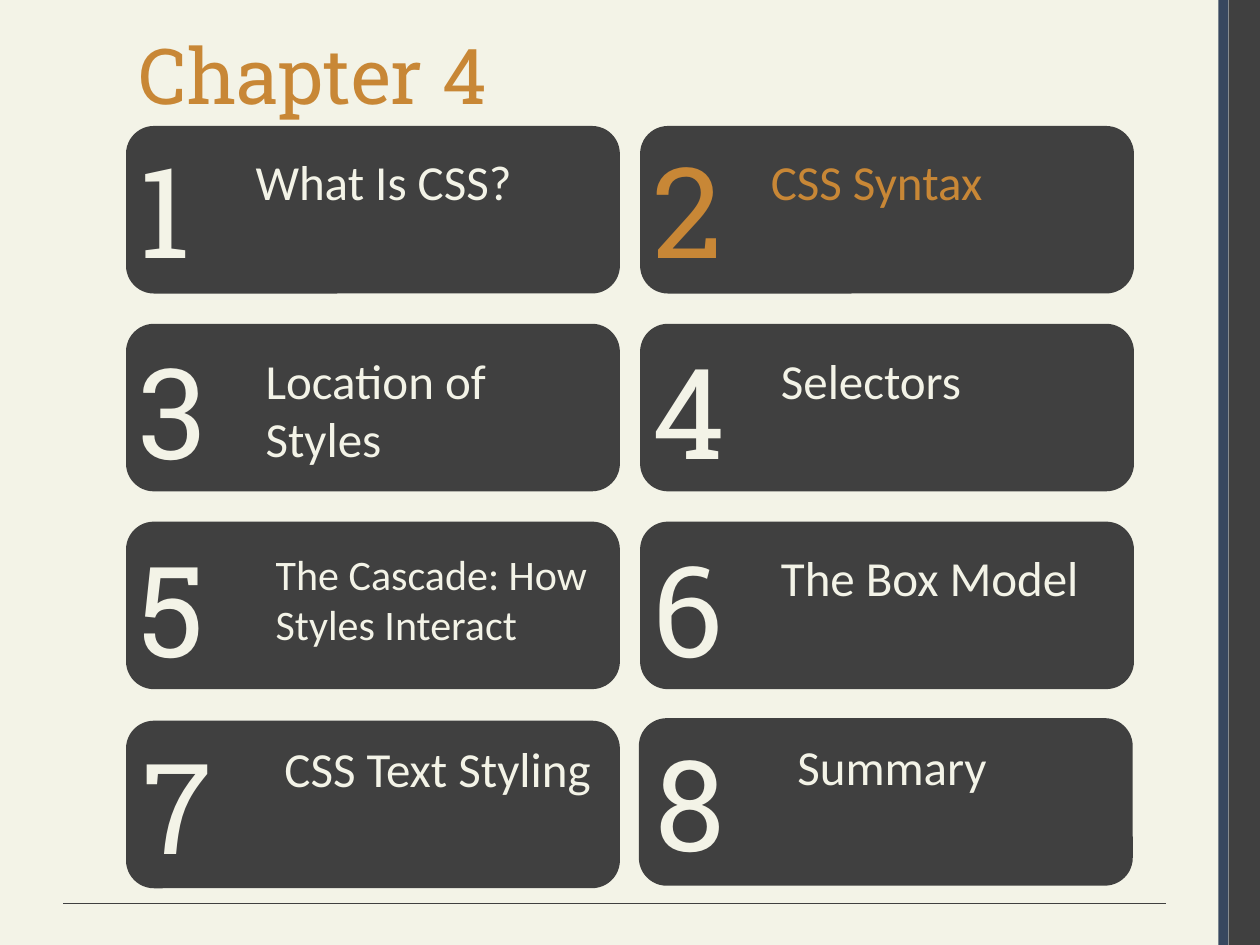
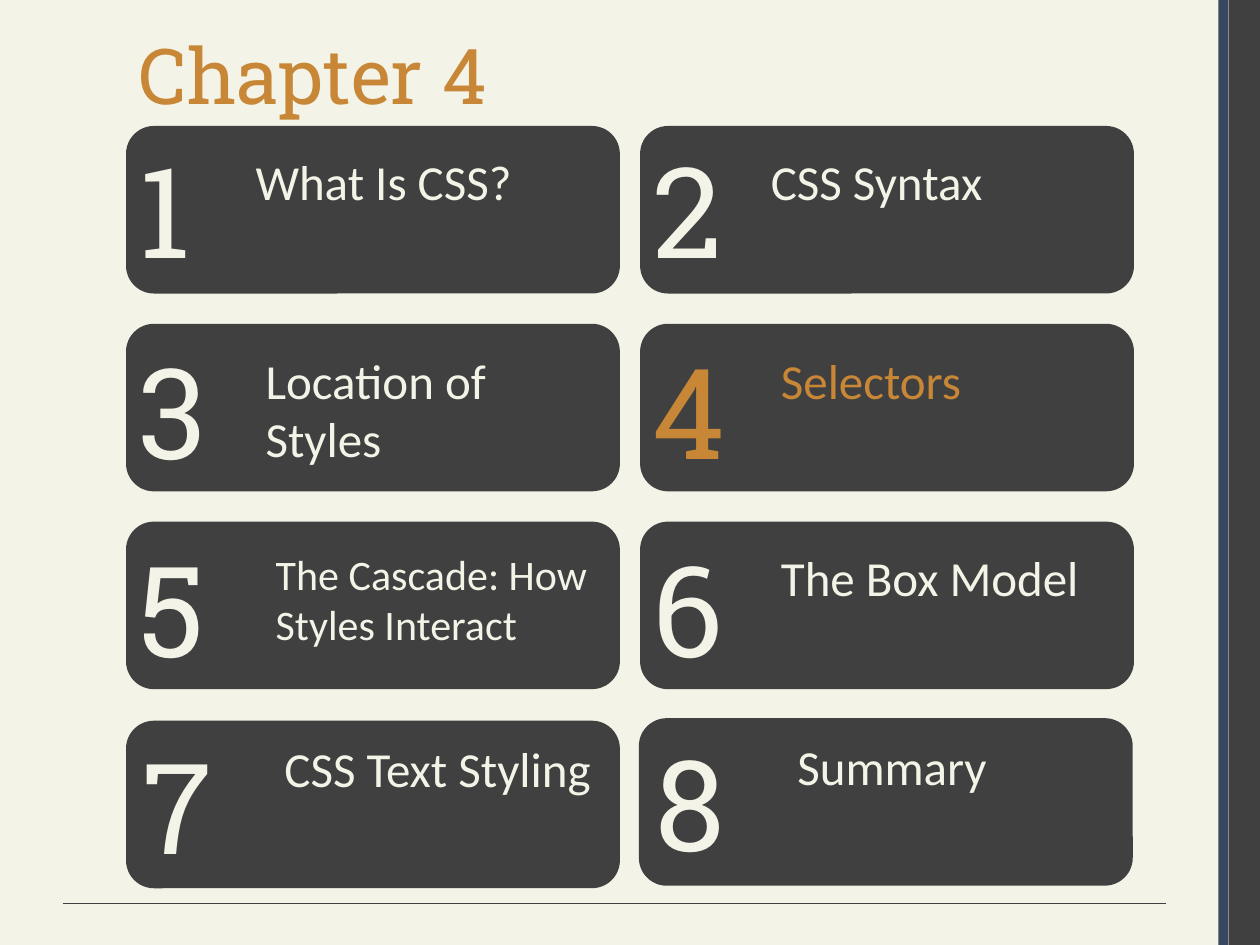
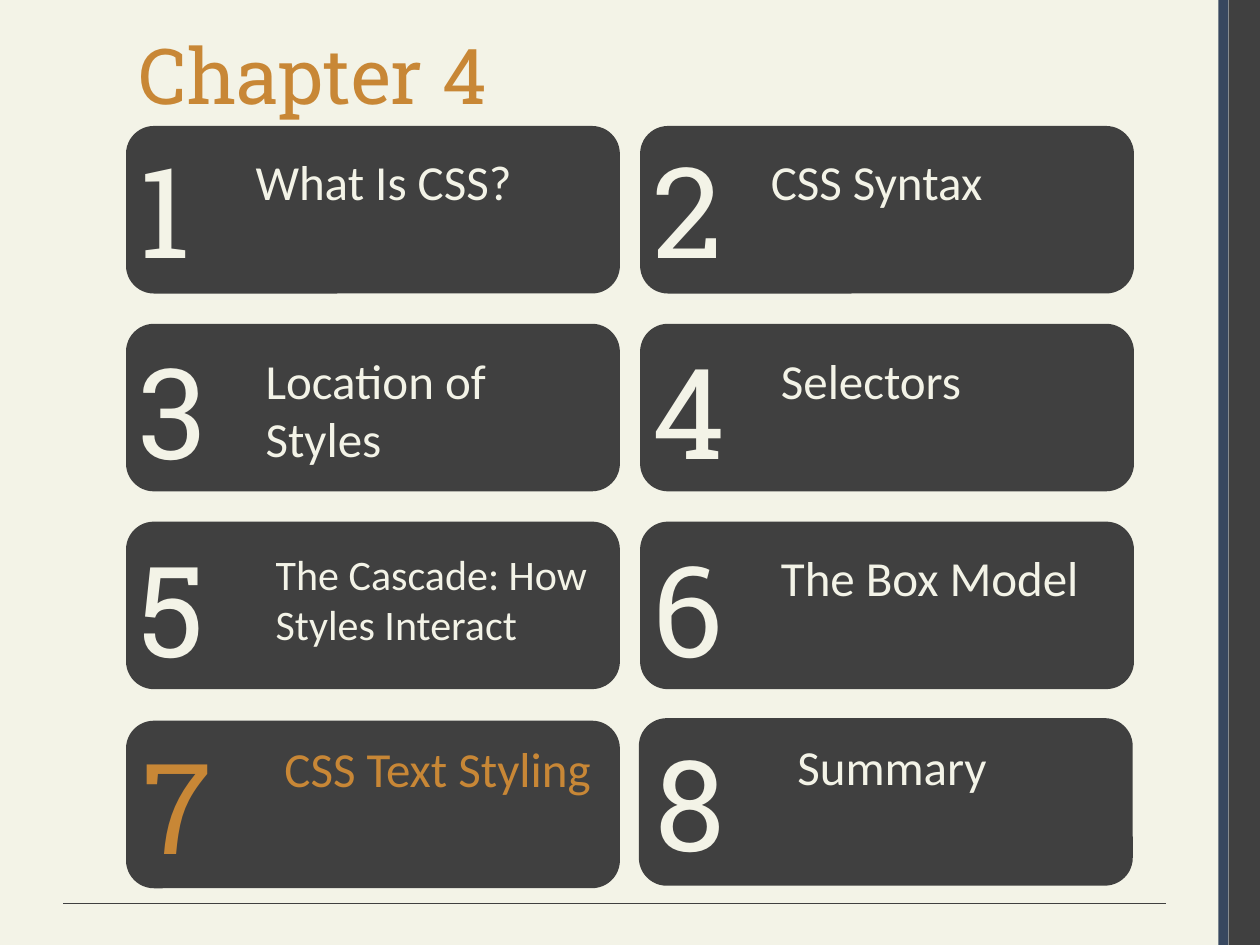
from lxml.etree import SubElement
from pptx import Presentation
from pptx.dml.color import RGBColor
from pptx.enum.shapes import MSO_CONNECTOR, MSO_SHAPE
from pptx.enum.text import MSO_ANCHOR, MSO_AUTO_SIZE, PP_ALIGN
from pptx.oxml.ns import qn
from pptx.util import Inches, Pt

COLORS = {name: RGBColor.from_string(value) for name, value in {
    "cream": "F3F3E7", "charcoal": "404040", "navy": "37475F", "amber": "C88736",
}.items()}
HEADING_FONT, BODY_FONT = "Roboto Slab", "Calibri"

CARD_WIDTH, CARD_HEIGHT = 3.92, 1.33
LEFT, RIGHT = 1, 5.08
# Card left and top, number offset, label offset, label height, label size, label
TOPICS = [
    (LEFT, 1, (0, 0), (0.93, 0.15), 0.57, 28, "What Is CSS?"),
    (RIGHT, 1, (0, 0), (0.94, 0.15), 0.57, 28, "CSS Syntax"),
    (LEFT, 2.57, (0, 0.03), (1.01, 0.16), 1.04, 28, "Location of Styles"),
    (RIGHT, 2.57, (0, 0.03), (1.02, 0.16), 0.57, 28, "Selectors"),
    (LEFT, 4.14, (0, 0.03), (1.09, 0.16), 0.91, 24, "The Cascade: How Styles Interact"),
    (RIGHT, 4.14, (0, 0.03), (1.02, 0.16), 0.57, 28, "The Box Model"),
    (LEFT, 5.72, (0.03, 0.01), (1.16, 0.09), 0.57, 28, "CSS Text Styling"),
    (5.07, 5.7, (0.03, 0.01), (1.16, 0.1), 0.57, 28, "Summary"),
]
CURRENT_TOPICS = [2, 4, 7]  # one slide for each


def add_block(page, kind, left, top, width, height, color):
    block = page.shapes.add_shape(
        kind, Inches(left), Inches(top), Inches(width), Inches(height))
    block.shadow.inherit = False
    block.fill.solid()
    block.fill.fore_color.rgb = COLORS[color]
    block.line.fill.background()
    return block


def add_text(page, text, left, top, width, height, font_name, size, color):
    box = page.shapes.add_textbox(
        Inches(left), Inches(top), Inches(width), Inches(height))
    box.text_frame.word_wrap = True
    box.text_frame.auto_size = MSO_AUTO_SIZE.SHAPE_TO_FIT_TEXT
    paragraph = box.text_frame.paragraphs[0]
    paragraph.text = text
    paragraph.font.name = font_name
    paragraph.font.size = Pt(size)
    paragraph.font.color.rgb = COLORS[color]


deck = Presentation()
deck.slide_width, deck.slide_height = Inches(10), Inches(7.5)
title_only = deck.slide_layouts[5]
pages = [deck.slides.add_slide(title_only) for topic in CURRENT_TOPICS]

# Shared background, side bands and footer rule, moved to the master
master = deck.slide_master
master.background.fill.solid()
master.background.fill.fore_color.rgb = COLORS["cream"]
dark_band = add_block(pages[0], MSO_SHAPE.RECTANGLE, 9.75, 0, 0.25, 7.5, "charcoal")
navy_band = add_block(pages[0], MSO_SHAPE.RECTANGLE, 9.67, 0, 0.08, 7.5, "navy")
footer_rule = pages[0].shapes.add_connector(
    MSO_CONNECTOR.STRAIGHT, Inches(9.25), Inches(7.17), Inches(0.5), Inches(7.17))
footer_rule.line.color.rgb = COLORS["charcoal"]
footer_rule.line.width = Pt(0.75)
SubElement(footer_rule._element.spPr, qn("a:effectLst"))
for shape in (dark_band, navy_band, footer_rule):
    master.shapes._spTree.append(shape._element)

for page, current in zip(pages, CURRENT_TOPICS):
    # Title
    title = page.shapes.title
    title.left, title.top = Inches(1), Inches(0.17)
    title.width, title.height = Inches(8.67), Inches(1.17)
    title.text_frame.text = "Chapter 4"
    title.text_frame.vertical_anchor = MSO_ANCHOR.TOP
    title.text_frame.auto_size = MSO_AUTO_SIZE.NONE
    heading = title.text_frame.paragraphs[0]
    heading.alignment = PP_ALIGN.LEFT
    heading.font.name = HEADING_FONT
    heading.font.size = Pt(44)
    heading.font.color.rgb = COLORS["amber"]

    # Topic cards, the current one highlighted
    for number, topic in enumerate(TOPICS, start=1):
        left, top, number_offset, label_offset, label_height, size, label = topic
        color = "amber" if number == current else "cream"
        add_block(page, MSO_SHAPE.ROUNDED_RECTANGLE,
                  left, top, CARD_WIDTH, CARD_HEIGHT, "charcoal")
        add_text(page, str(number), left + number_offset[0], top + number_offset[1],
                 0.75, 1.31, HEADING_FONT, 72, color)
        add_text(page, label, left + label_offset[0], top + label_offset[1],
                 2.76, label_height, BODY_FONT, size, color)

deck.save("out.pptx")
